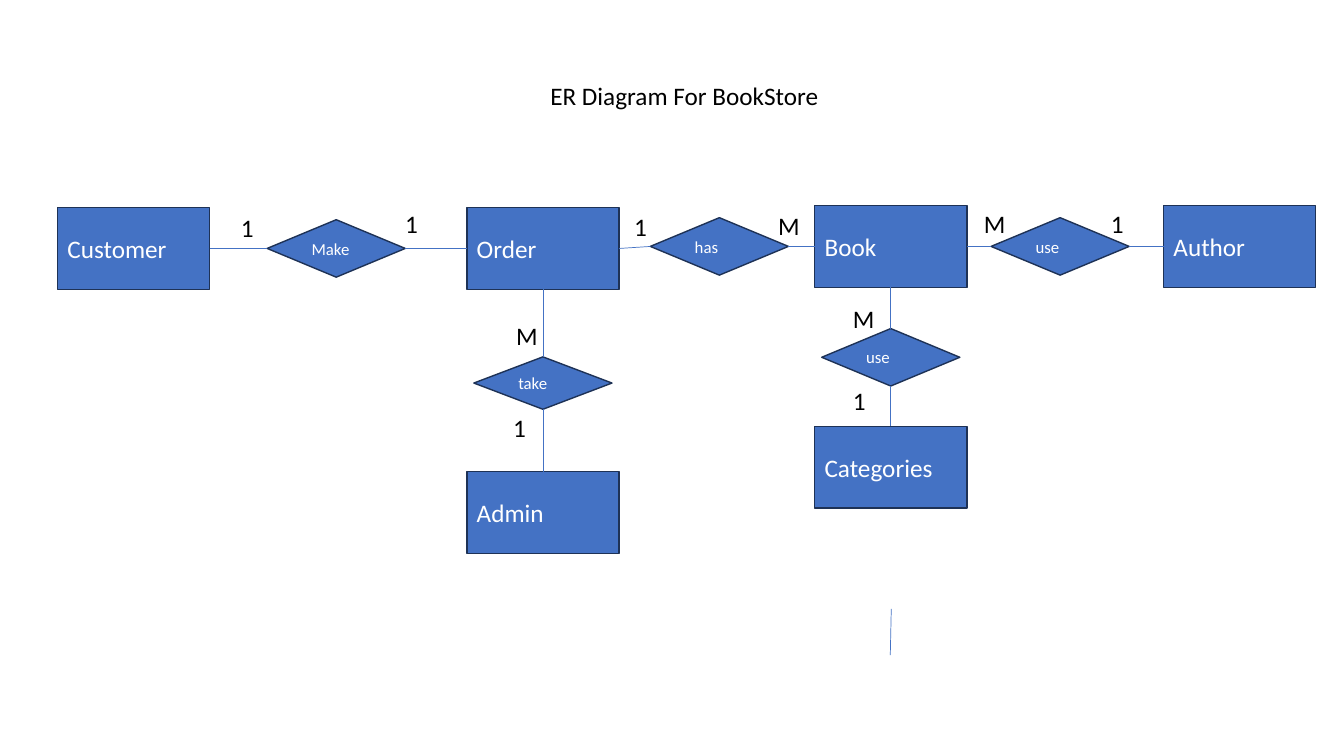
"""Builds the entity-relationship diagram slide for a book store."""
from pptx import Presentation
from pptx.dml.color import RGBColor
from pptx.enum.shapes import MSO_CONNECTOR, MSO_SHAPE
from pptx.enum.text import MSO_AUTO_SIZE
from pptx.util import Inches, Pt
from lxml import etree

RECTANGLE = MSO_SHAPE.RECTANGLE
DIAMOND = MSO_SHAPE.DIAMOND
STRAIGHT = MSO_CONNECTOR.STRAIGHT
FIT_SHAPE = MSO_AUTO_SIZE.SHAPE_TO_FIT_TEXT
TOP, LEFT, BOTTOM, RIGHT = range(4)

THEME = {
    "font": "Calibri",
    "fill": RGBColor(0x44, 0x72, 0xC4),
    "outline": RGBColor(0x1E, 0x32, 0x56),
    "light": RGBColor(0xFF, 0xFF, 0xFF),
    "dark": RGBColor(0x00, 0x00, 0x00),
    "text_size": 18,
    "relation_size": 12,
    "outline_width": 1,
    "link_width": 0.5,
}

TITLE = ("ER Diagram For BookStore", 5.36, 0.75, 3.35)
ENTITY_SIZE = (1.51, 0.81)
ENTITIES = [
    ("Customer", 0.57, 2.06),
    ("Order", 4.63, 2.06),
    ("Book", 8.08, 2.04),
    ("Author", 11.54, 2.04),
    ("Admin", 4.63, 4.68),
    ("Categories", 8.08, 4.23),
]
RELATION_WIDTH = 1.37
RELATIONS = [
    ("Make", 2.65, 2.18, 0.57, "Customer", "Order"),
    ("has", 6.45, 2.16, 0.57, "Order", "Book"),
    ("use", 9.83, 2.16, 0.57, "Book", "Author"),
    ("take", 4.7, 3.54, 0.52, "Order", "Admin"),
    ("use", 8.15, 3.26, 0.57, "Book", "Categories"),
]
LABEL_HEIGHT = 0.4
CARDINALITIES = [
    ("1", 2.29, 2.06, 0.43),
    ("1", 3.92, 2.02, 0.34),
    ("1", 6.19, 2.05, 0.34),
    ("M", 7.62, 2.04, 0.43),
    ("M", 9.66, 2.02, 0.34),
    ("1", 10.92, 2.02, 0.34),
    ("M", 5.02, 3.13, 0.34),
    ("1", 4.99, 4.04, 0.43),
    ("M", 8.36, 2.96, 0.34),
    ("1", 8.36, 3.77, 0.34),
]
LOOSE_LINE = (8.84, 6.04, 8.83, 6.5)


def write(shape, text, size, color):
    shape.text_frame.text = text
    font = shape.text_frame.paragraphs[0].runs[0].font
    font.name = THEME["font"]
    font.size = Pt(size)
    font.color.rgb = color


def add_node(slide, kind, text, box, size):
    shape = slide.shapes.add_shape(kind, *map(Inches, box))
    shape.shadow.inherit = False
    shape.fill.solid()
    shape.fill.fore_color.rgb = THEME["fill"]
    shape.line.color.rgb = THEME["outline"]
    shape.line.width = Pt(THEME["outline_width"])
    write(shape, text, size, THEME["light"])
    return shape


def add_label(slide, text, left, top, width):
    box = slide.shapes.add_textbox(*map(Inches, (left, top, width, LABEL_HEIGHT)))
    box.text_frame.word_wrap = True
    box.text_frame.auto_size = FIT_SHAPE
    write(box, text, THEME["text_size"], THEME["dark"])


def add_line(slide, points=(0, 0, 0, 0)):
    line = slide.shapes.add_connector(STRAIGHT, *map(Inches, points))
    line.line.color.rgb = THEME["fill"]
    line.line.width = Pt(THEME["link_width"])
    properties = line.element.spPr
    namespace = etree.QName(properties.find("{*}ln")).namespace
    etree.SubElement(properties, etree.QName(namespace, "effectLst"))
    return line


def link(slide, start, start_side, end, end_side):
    line = add_line(slide)
    line.begin_connect(start, start_side)
    line.end_connect(end, end_side)


def main():
    presentation = Presentation()
    presentation.slide_width = Inches(13.33)
    presentation.slide_height = Inches(7.5)
    slide = presentation.slides.add_slide(presentation.slide_layouts[6])

    entities = {
        name: add_node(slide, RECTANGLE, name, (left, top, *ENTITY_SIZE), THEME["text_size"])
        for name, left, top in ENTITIES
    }
    for name, left, top, height, source, target in RELATIONS:
        box = (left, top, RELATION_WIDTH, height)
        relation = add_node(slide, DIAMOND, name, box, THEME["relation_size"])
        first, second = entities[source], entities[target]
        beside = second.left > first.left + first.width
        out_side, in_side = (RIGHT, LEFT) if beside else (BOTTOM, TOP)
        link(slide, first, out_side, relation, in_side)
        link(slide, relation, out_side, second, in_side)

    add_line(slide, LOOSE_LINE)
    for label in [TITLE, *CARDINALITIES]:
        add_label(slide, *label)
    presentation.save("out.pptx")


if __name__ == "__main__":
    main()
